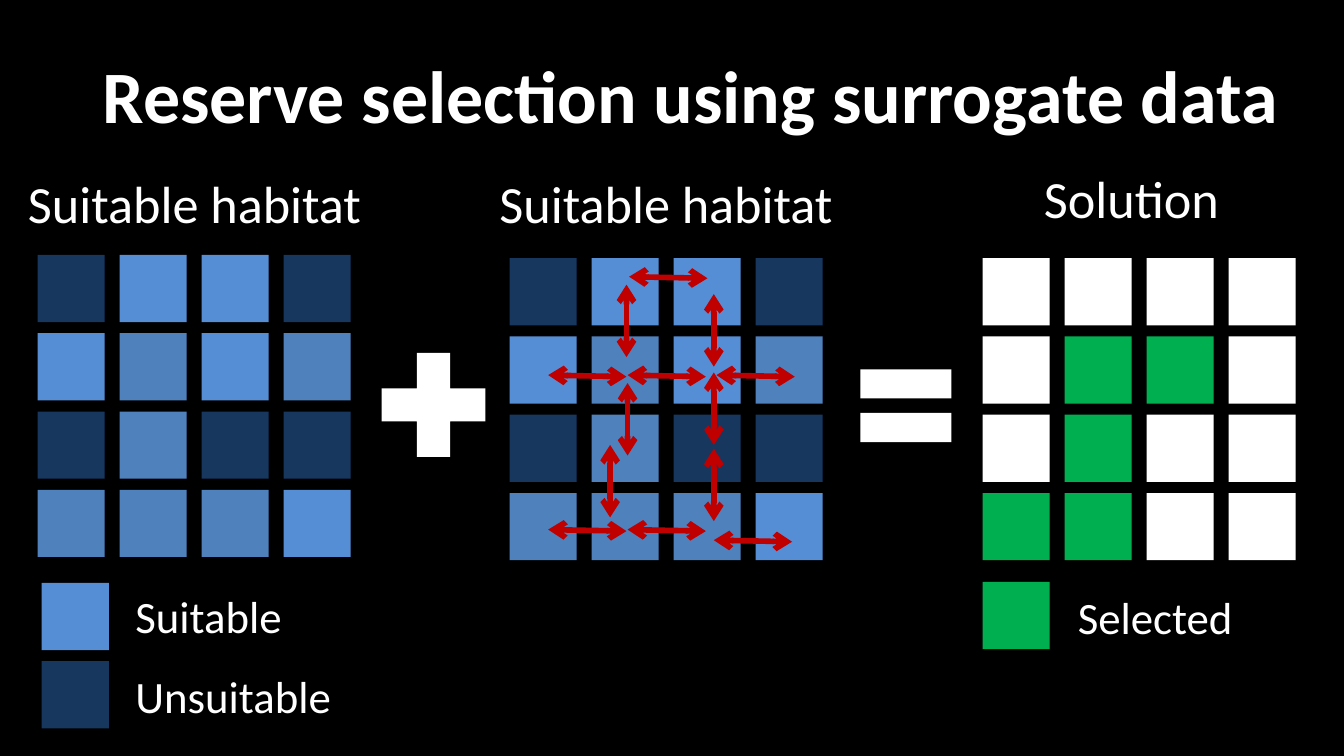
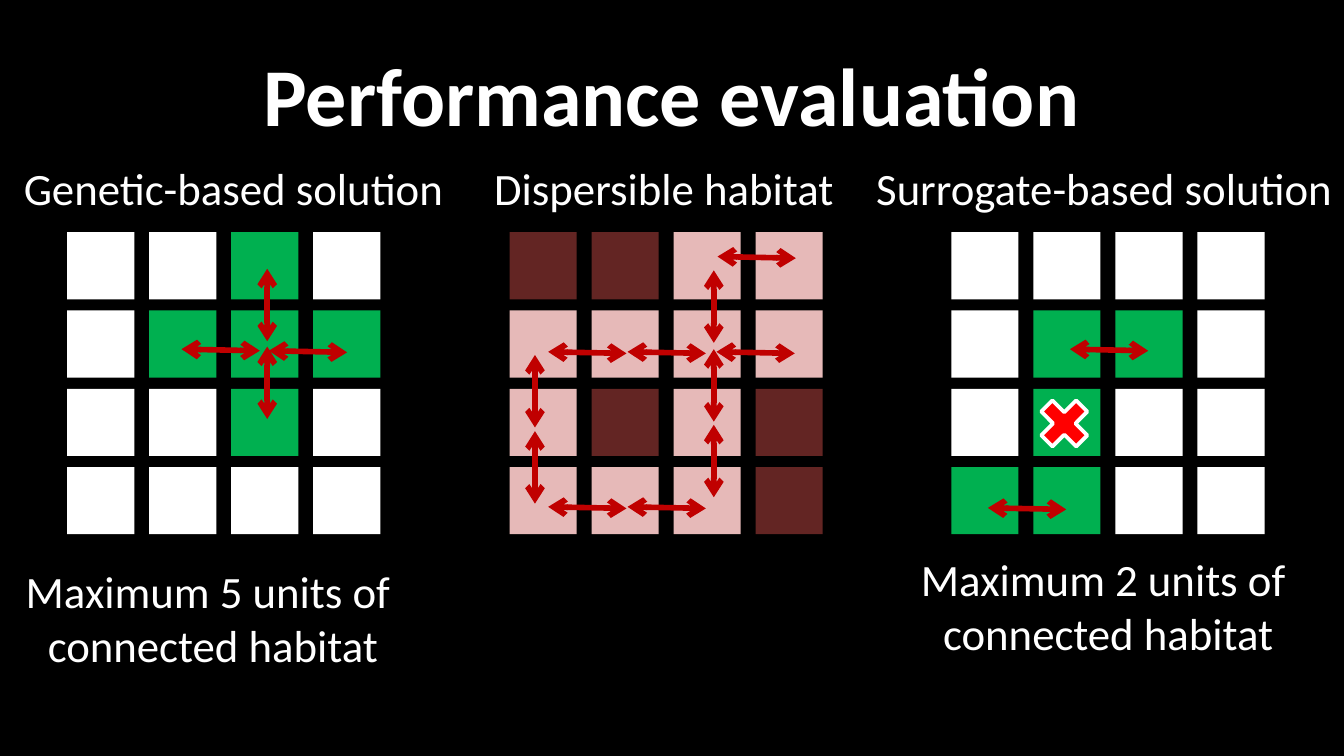
"""Build two slides on reserve selection and its performance evaluation."""
from dataclasses import dataclass

from lxml.etree import SubElement
from pptx import Presentation
from pptx.dml.color import RGBColor
from pptx.enum.shapes import MSO_CONNECTOR, MSO_SHAPE
from pptx.enum.text import MSO_ANCHOR, MSO_AUTO_SIZE, PP_ALIGN
from pptx.oxml.ns import qn
from pptx.util import Cm, Pt


@dataclass(frozen=True)
class Theme:
    font: str = "Calibri"
    background: str = "000000"
    white: str = "FFFFFF"
    suitable: str = "558ED5"
    moderate: str = "4F81BD"
    unsuitable: str = "17375E"
    selected: str = "00B050"
    dispersible: str = "E6B9B8"
    barrier: str = "632523"
    arrow: str = "C00000"
    cross: str = "FF0000"
    title: float = 44
    long_title: float = 39.6
    heading: float = 28
    label: float = 24
    arrow_width: float = 3
    cross_width: float = 2
    cell: float = 1.27
    column_step: float = 1.55
    row_step: float = 1.48


THEME = Theme()
CELL_COLOURS = {
    "S": THEME.suitable, "M": THEME.moderate, "U": THEME.unsuitable,
    "G": THEME.selected, "-": THEME.white,
    "D": THEME.dispersible, "B": THEME.barrier,
}
HABITAT = ("USSU", "SMSM", "UMUU", "MMMS")
SURROGATE_SOLUTION = ("----", "-GG-", "-G--", "GG--")
GENETIC_SOLUTION = ("--G-", "-GGG", "--G-", "----")
DISPERSIBLE = ("BBDD", "DDDD", "DBDB", "DDDB")


class Deck:
    def __init__(self, theme):
        self.theme = theme
        self.prs = Presentation()
        self.prs.slide_width, self.prs.slide_height = Cm(25.4), Cm(14.29)

    def slide(self, title, size, width):
        self.s = self.prs.slides.add_slide(self.prs.slide_layouts[6])
        fill = self.s.background.fill
        fill.solid()
        fill.fore_color.rgb = RGBColor.from_string(self.theme.background)
        tf = self.text([title], 1.27, 0.58, width, 2.39, size, True, True)
        tf.word_wrap = True
        tf.auto_size = MSO_AUTO_SIZE.NONE
        tf.vertical_anchor = MSO_ANCHOR.MIDDLE

    def text(self, lines, x, y, w, h, size, centred=False, bold=False):
        tf = self.s.shapes.add_textbox(Cm(x), Cm(y), Cm(w), Cm(h)).text_frame
        tf.word_wrap = False
        tf.auto_size = MSO_AUTO_SIZE.SHAPE_TO_FIT_TEXT
        for i, line in enumerate(lines):
            p = tf.add_paragraph() if i else tf.paragraphs[0]
            p.alignment = PP_ALIGN.CENTER if centred else PP_ALIGN.LEFT
            r = p.add_run()
            r.text = line
            r.font.name, r.font.size, r.font.bold = self.theme.font, Pt(size), bold
            r.font.color.rgb = RGBColor.from_string(self.theme.white)
        return tf

    def shape(self, kind, x, y, size, colour, outline=None, parent=None):
        sp = (parent or self.s).shapes.add_shape(
            kind, Cm(x), Cm(y), Cm(size), Cm(size))
        sp.shadow.inherit = False
        sp.fill.solid()
        sp.fill.fore_color.rgb = RGBColor.from_string(colour)
        if outline:
            sp.line.color.rgb = RGBColor.from_string(outline)
            sp.line.width = Pt(self.theme.cross_width)
        else:
            sp.line.fill.background()

    def square(self, x, y, colour, parent=None):
        self.shape(MSO_SHAPE.RECTANGLE, x, y, self.theme.cell, colour, parent=parent)

    def grid(self, rows, x, y):
        group = self.s.shapes.add_group_shape()
        for i, row in enumerate(rows):
            for j, code in enumerate(row):
                self.square(x + j * self.theme.column_step,
                            y + i * self.theme.row_step, CELL_COLOURS[code], group)

    def arrow(self, x, y, dx, dy):
        line = self.s.shapes.add_connector(
            MSO_CONNECTOR.STRAIGHT, Cm(x), Cm(y), Cm(x + dx), Cm(y + dy))
        line.line.color.rgb = RGBColor.from_string(self.theme.arrow)
        line.line.width = Pt(self.theme.arrow_width)
        ln = line.line._get_or_add_ln()
        for end in ("a:headEnd", "a:tailEnd"):
            SubElement(ln, qn(end), type="arrow")
        SubElement(line._element.spPr, qn("a:effectLst"))

    def arrows(self, across, upright):
        for x, y in across:
            self.arrow(x, y, 1.48, 0.03)
        for x, y in upright:
            self.arrow(x, y, 0, 1.37)


def selection_slide(deck):
    t = deck.theme
    deck.slide("Reserve selection using surrogate data", t.long_title, 23.57)
    for rows, x, y in ((HABITAT, 0.71, 4.82), (HABITAT, 9.63, 4.88),
                       (SURROGATE_SOLUTION, 18.57, 4.88)):
        deck.grid(rows, x, y)
    deck.shape(MSO_SHAPE.MATH_PLUS, 6.86, 6.32, 2.67, t.white)
    deck.shape(MSO_SHAPE.MATH_EQUAL, 15.95, 6.5, 2.34, t.white)
    for heading, x, y, w in (("Suitable habitat", 0.28, 3.12, 6.88),
                             ("Suitable habitat", 9.19, 3.12, 6.88),
                             ("Solution", 19.48, 3.02, 3.86)):
        deck.text([heading], x, y, w, 1.45, t.heading)
    deck.arrows(
        across=((11.89, 5.23), (10.36, 7.09), (11.86, 7.09), (13.54, 7.09),
                (10.36, 10.01), (11.86, 10.01), (13.49, 10.21)),
        upright=((13.49, 5.56), (13.49, 7.04), (13.49, 8.48),
                 (11.84, 5.38), (11.86, 7.24), (11.53, 8.41)))
    for name, colour, x, y, text_x, text_y, w in (
            ("Suitable", t.suitable, 0.79, 11.02, 2.31, 11, 3.3),
            ("Unsuitable", t.unsuitable, 0.79, 12.5, 2.31, 12.52, 4.24),
            ("Selected", t.selected, 18.57, 11, 20.12, 11.02, 3.48)):
        deck.square(x, y, colour)
        deck.text([name], text_x, text_y, w, 1.27, t.label)


def evaluation_slide(deck):
    t = deck.theme
    deck.slide("Performance evaluation", t.title, 22.86)
    for rows, x in ((GENETIC_SOLUTION, 1.27), (DISPERSIBLE, 9.63),
                    (SURROGATE_SOLUTION, 17.98)):
        deck.grid(rows, x, 4.39)
    for heading, x, w in (("Genetic-based solution", 0.2, 8.53),
                          ("Dispersible habitat", 9.09, 6.99),
                          ("Surrogate-based solution", 16.31, 9.22)):
        deck.text([heading], x, 2.92, w, 1.27, t.label)
    for units, x, y in ((5, 0.2, 10.54), (2, 17.12, 10.31)):
        deck.text([f"Maximum {units} units of ", "connected habitat"],
                  x, y, 7.65, 2.31, t.label, centred=True)
    deck.shape(MSO_SHAPE.MATH_MULTIPLY, 19.48, 7.37, t.cell, t.cross, t.white)
    deck.arrows(
        across=((3.43, 6.6), (5.08, 6.63), (20.22, 6.6), (18.67, 9.6),
                (10.36, 9.58), (11.86, 9.58), (10.36, 6.65), (11.86, 6.65),
                (13.54, 6.65), (13.56, 4.85)),
        upright=((5.05, 5.08), (5.05, 6.55), (13.49, 5.11), (13.49, 6.6),
                 (13.49, 8.03), (10.11, 6.71), (10.11, 8.15)))


def main():
    deck = Deck(THEME)
    selection_slide(deck)
    evaluation_slide(deck)
    deck.prs.save("out.pptx")


if __name__ == "__main__":
    main()
